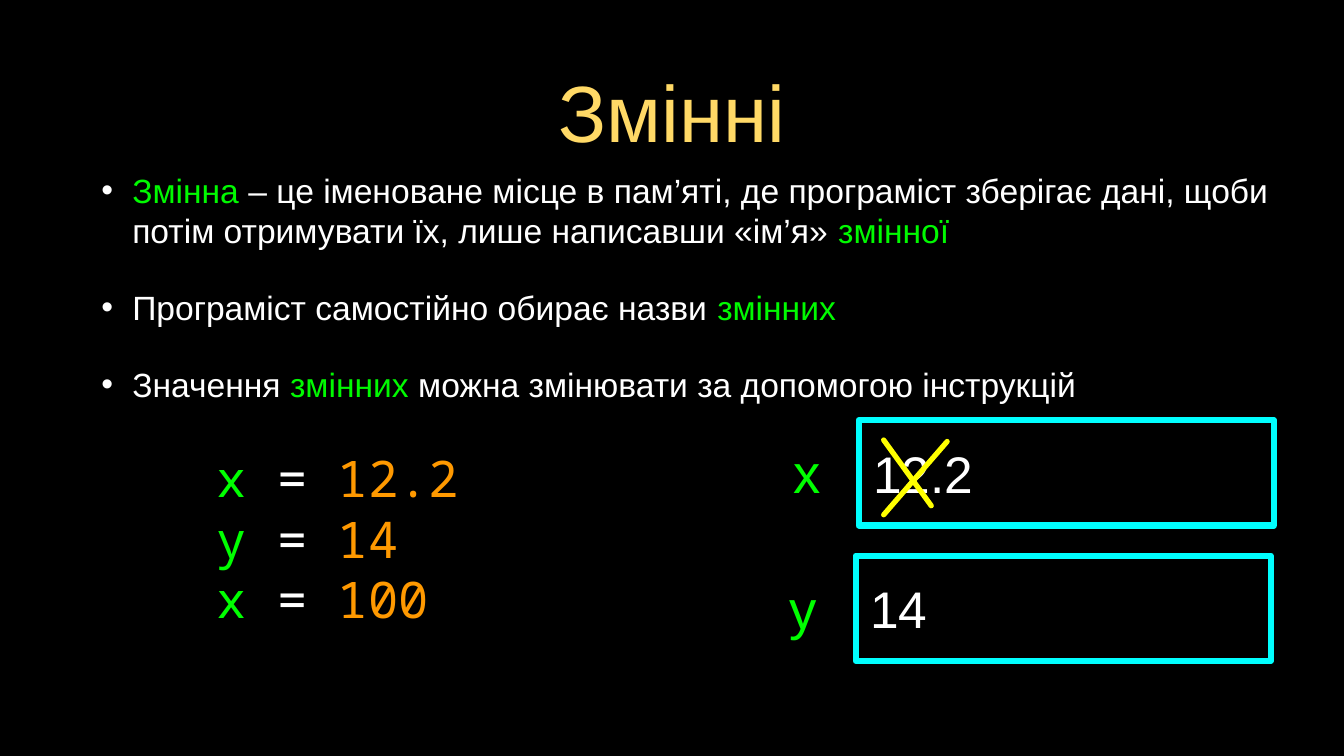
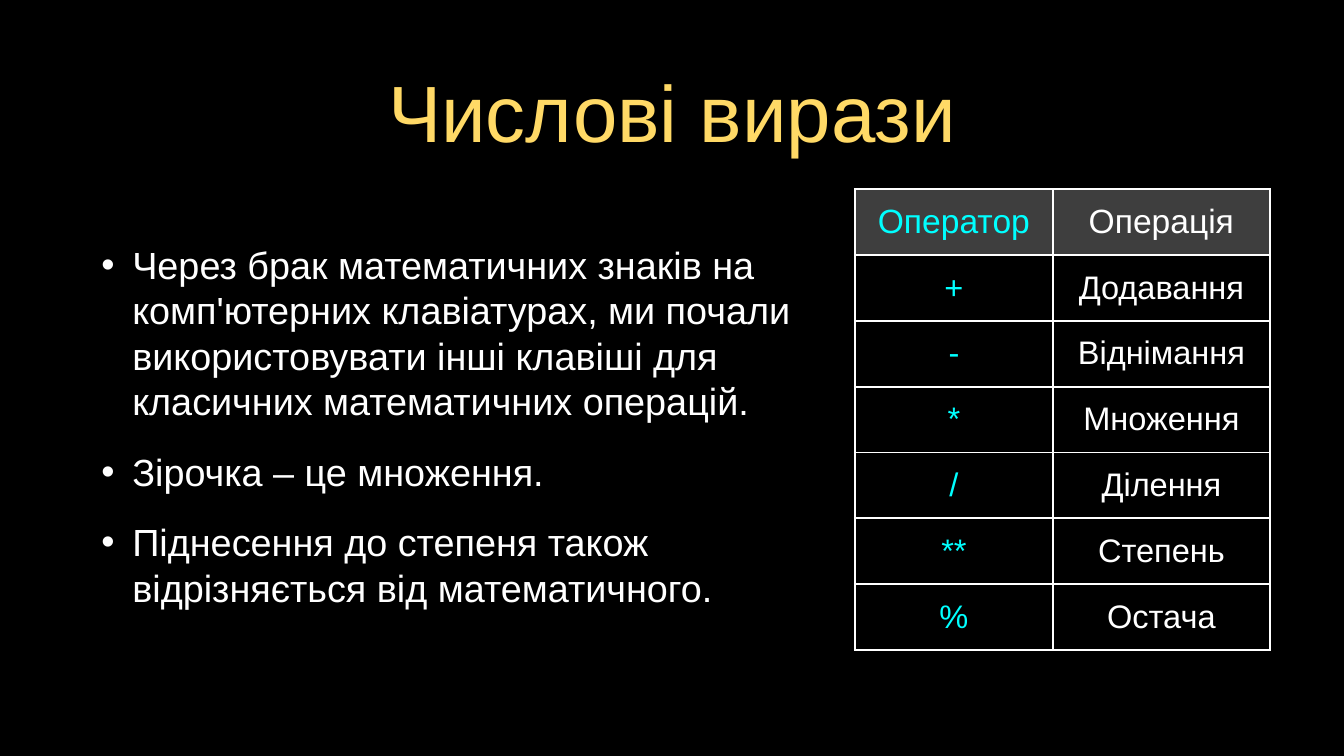
import pptx
import pptx.util
import pptx.dml.color
import pptx.enum.shapes
import pptx.enum.text
import pptx.oxml.ns
from lxml import etree

Inches = pptx.util.Inches
Pt = pptx.util.Pt
ALIGN = pptx.enum.text.PP_ALIGN
qn = pptx.oxml.ns.qn

BLACK, WHITE, GRAY = "000000", "FFFFFF", "7F7F7F"
GOLD, CYAN, YELLOW, ORANGE = "FFD966", "00FFFF", "FFFF00", "FF9900"
TERM_GREEN, NAME_GREEN = "00FA00", "00FF00"
LINE_SPACING = 1.2


def color(value):
    return pptx.dml.color.RGBColor.from_string(value)


def add_xml(parent, tag, **attributes):
    return etree.SubElement(parent, qn(tag), attributes)


class Deck:
    font = "Arial"
    code_font = "Noto Sans Mono"

    def __init__(self):
        self.presentation = pptx.Presentation()
        self.presentation.slide_width = Inches(17.78)
        self.presentation.slide_height = Inches(10)
        self.slide = None

    def add_slide(self, title):
        self.slide = self.presentation.slides.add_slide(self.presentation.slide_layouts[6])
        fill = self.slide.background.fill
        fill.solid()
        fill.fore_color.rgb = color(BLACK)
        footer = self.rectangle(0, 9.14, 17.78, 0.86)
        footer.fill.solid()
        footer.fill.fore_color.rgb = color(BLACK)
        footer.line.fill.background()
        self.text(0.89, 0.86, 16, 1.21, [[(title, GOLD)]], 76, align=ALIGN.CENTER, inset=0.04)

    def rectangle(self, left, top, width, height):
        shape = self.slide.shapes.add_shape(
            pptx.enum.shapes.MSO_SHAPE.RECTANGLE,
            Inches(left), Inches(top), Inches(width), Inches(height))
        shape.shadow.inherit = False
        return shape

    def frame(self, text_frame, inset):
        text_frame.word_wrap = True
        text_frame.vertical_anchor = pptx.enum.text.MSO_ANCHOR.MIDDLE
        text_frame.margin_left = text_frame.margin_right = Inches(inset)
        text_frame.margin_top = text_frame.margin_bottom = Inches(inset)

    def style_run(self, run, size, value, font=None):
        run.font.size = Pt(size)
        run.font.name = font or self.font
        run.font.color.rgb = color(value)

    def text(self, left, top, width, height, lines, size, align=ALIGN.LEFT, font=None, inset=0):
        box = self.slide.shapes.add_textbox(Inches(left), Inches(top), Inches(width), Inches(height))
        self.frame(box.text_frame, inset)
        for index, parts in enumerate(lines):
            paragraph = box.text_frame.add_paragraph() if index else box.text_frame.paragraphs[0]
            paragraph.alignment = align
            for words, value in parts:
                run = paragraph.add_run()
                run.text = words
                self.style_run(run, size, value, font)
        return box

    def space_lines(self, box, size, gap=0):
        for index, paragraph in enumerate(box.text_frame.paragraphs):
            paragraph.line_spacing = Pt(size * LINE_SPACING)
            paragraph.space_before = Pt(gap if index else 0)

    def bullets(self, width, height, items, size, gap):
        box = self.text(0.89, 2.33, width, height, items, size, inset=0.04)
        for paragraph in box.text_frame.paragraphs:
            properties = paragraph._p.get_or_add_pPr()
            properties.set("marL", str(Inches(0.82)))
            properties.set("indent", str(Inches(-0.41)))
            add_xml(add_xml(properties, "a:buClr"), "a:srgbClr", val=WHITE)
            add_xml(properties, "a:buFont", typeface=self.font)
            add_xml(properties, "a:buChar", char="•")
            paragraph.font.size = Pt(size)
            paragraph.font.name = self.font
        self.space_lines(box, size, gap)

    def code(self, left, top, width, height, assignments):
        lines = [[(name + " ", NAME_GREEN), ("= ", WHITE), (number, ORANGE)]
                 for name, number in assignments]
        box = self.text(left, top, width, height, lines, 48, font=self.code_font)
        self.space_lines(box, 48)

    def memory_cell(self, left, top, value):
        shape = self.rectangle(left, top, 5.49, 1.39)
        shape.fill.background()
        shape.line.color.rgb = color(CYAN)
        shape.line.width = Pt(6)
        self.frame(shape.text_frame, 0)
        shape.text_frame.margin_left = Inches(0.19)
        shape.text_frame.text = value
        paragraph = shape.text_frame.paragraphs[0]
        paragraph.alignment = ALIGN.LEFT
        self.style_run(paragraph.runs[0], 49, WHITE)

    def cross_out(self, strokes):
        group = self.slide.shapes.add_group_shape()
        for ends in strokes:
            stroke = group.shapes.add_connector(
                pptx.enum.shapes.MSO_CONNECTOR.STRAIGHT, *[Inches(end) for end in ends])
            stroke.line.color.rgb = color(YELLOW)
            stroke.line.width = Pt(5)
            stroke.line._get_or_add_ln().set("cap", "rnd")
            add_xml(stroke._element.spPr, "a:effectLst")

    def table(self, left, top, column_widths, height, rows):
        table = self.slide.shapes.add_table(
            len(rows), len(column_widths), Inches(left), Inches(top),
            Inches(sum(column_widths)), Inches(height)).table
        table.first_row = table.horz_banding = False
        for column, width in zip(table.columns, column_widths):
            column.width = Inches(width)
        for row_index, row in enumerate(rows):
            table.rows[row_index].height = Inches(height / len(rows))
            for column_index, words in enumerate(row):
                self.table_cell(table.cell(row_index, column_index), words,
                                WHITE if column_index else CYAN, row_index == 0)

    def table_cell(self, cell, words, value, is_header):
        cell.vertical_anchor = pptx.enum.text.MSO_ANCHOR.MIDDLE
        cell.margin_left = cell.margin_right = Inches(0.04)
        cell.margin_top = cell.margin_bottom = Inches(0.04)
        properties = cell._tc.get_or_add_tcPr()
        for side in ("a:lnL", "a:lnR", "a:lnT", "a:lnB"):
            border = add_xml(properties, side, w=str(Pt(2)))
            add_xml(add_xml(border, "a:solidFill"), "a:srgbClr", val=WHITE)
        if is_header:
            cell.fill.solid()
            cell.fill.fore_color.rgb = color(GRAY)
            add_xml(properties.find(qn("a:solidFill")).find(qn("a:srgbClr")), "a:alpha", val="49000")
        else:
            cell.fill.background()
        cell.text_frame.text = words
        paragraph = cell.text_frame.paragraphs[0]
        paragraph.alignment = ALIGN.CENTER
        self.style_run(paragraph.runs[0], 32 if is_header else 31, value)


def build_variables(deck):
    deck.add_slide("Змінні")
    deck.bullets(16, 2.93, [
        [("Змінна ", TERM_GREEN),
         ("– це іменоване місце в пам’яті, де програміст зберігає дані, "
          "щоби потім отримувати їх, лише написавши «ім’я» ", WHITE),
         ("змінної", TERM_GREEN)],
        [("Програміст самостійно обирає назви ", WHITE), ("змінних", TERM_GREEN)],
        [("Значення ", WHITE), ("змінних ", TERM_GREEN),
         ("можна змінювати за допомогою інструкцій", WHITE)],
    ], 32, 35)
    for name, value, label_left, label_width, label_top, cell_left, cell_top in (
            ("x", "12.2", 10.43, 0.49, 5.77, 11.36, 5.56),
            ("y", "14", 10.41, 0.44, 7.57, 11.32, 7.35)):
        deck.text(label_left, label_top, label_width, 0.94, [[(name, NAME_GREEN)]], 52,
                  align=ALIGN.CENTER)
        deck.memory_cell(cell_left, cell_top, value)
    deck.cross_out([(12.53, 5.84, 11.69, 6.81), (11.69, 5.82, 12.32, 6.69)])
    deck.code(2.87, 5.81, 4.42, 2.61, [("x", "12.2"), ("y", "14"), ("x", "100")])


def build_expressions(deck):
    deck.add_slide("Числові вирази")
    sentences = [
        "Через брак математичних знаків на комп'ютерних клавіатурах, ми почали "
        "використовувати інші клавіші для класичних математичних операцій.",
        "Зірочка – це множення.",
        "Піднесення до степеня також відрізняється від математичного.",
    ]
    deck.bullets(9.88, 6.6, [[(sentence, WHITE)] for sentence in sentences], 36, 24)
    deck.table(11.31, 2.5, (2.62, 2.87), 6.1, [
        ("Оператор", "Операція"),
        ("+", "Додавання"),
        ("-", "Віднімання"),
        ("*", "Множення"),
        ("/", "Ділення"),
        ("**", "Степень"),
        ("%", "Остача"),
    ])


def main():
    deck = Deck()
    build_variables(deck)
    build_expressions(deck)
    deck.presentation.save("out.pptx")


if __name__ == "__main__":
    main()
